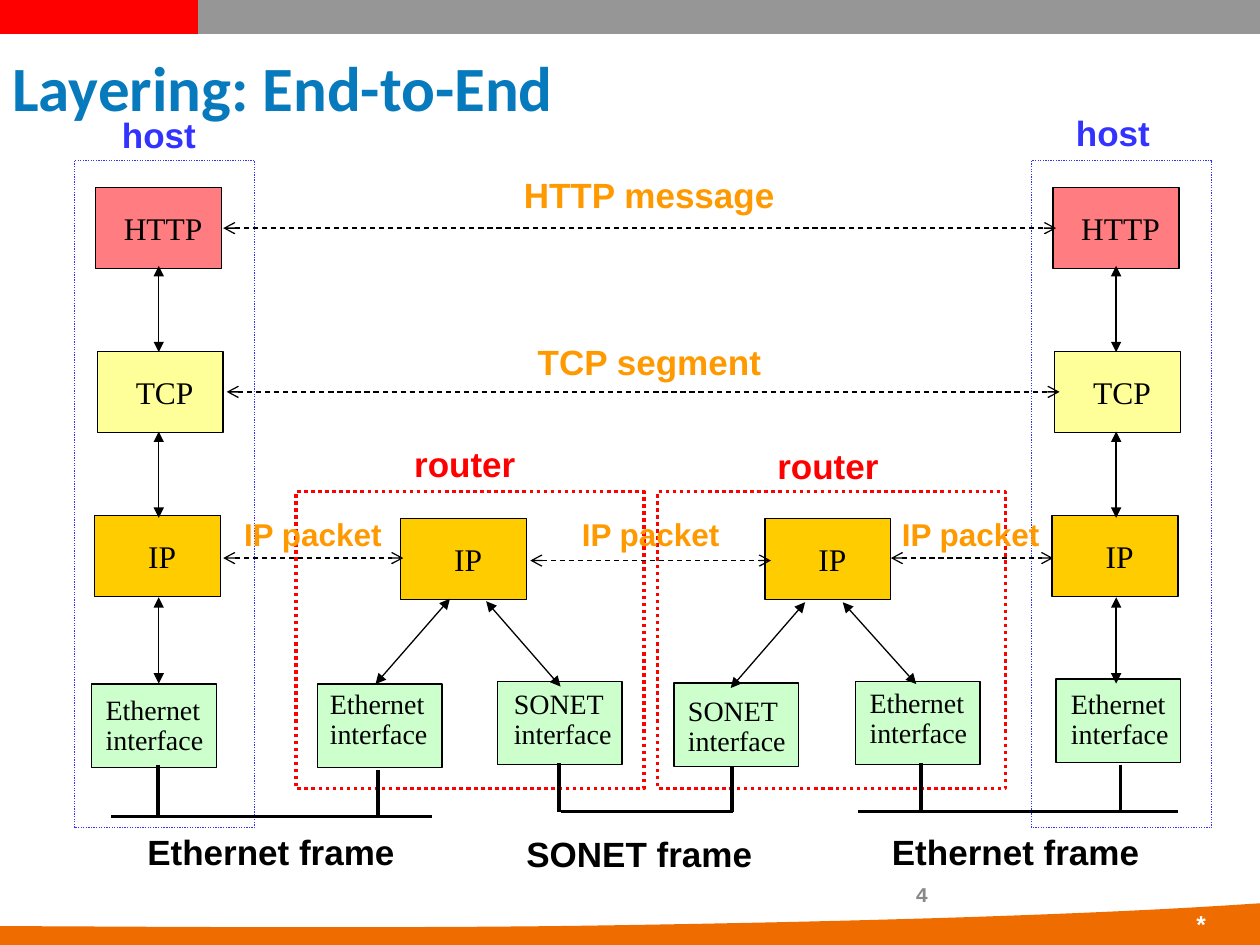
from lxml import etree
from pptx import Presentation
from pptx.dml.color import RGBColor
from pptx.enum.dml import MSO_LINE as Dash
from pptx.enum.shapes import MSO_CONNECTOR, MSO_SHAPE
from pptx.enum.text import MSO_ANCHOR as Anchor, PP_ALIGN as Align
from pptx.oxml.ns import qn
from pptx.util import Cm, Pt

# Content: all positions in centimetres
BLACK, BLUE, RED, ORANGE = "000000", "3333FF", "FF0000", "FF9900"
SERIF, SANS = "Times New Roman", "Arial"
WIDTH, HEIGHT = 25.4, 19.05

HOST_SHIFT = 19.3
HOST_LAYERS = [("HTTP", 1.93, 3.78, "FF7C80"), ("TCP", 1.96, 7.09, "FFFF99"),
               ("IP", 1.91, 10.39, "FFCC00")]
ROUTER_LAYERS = [("IP", 8.08, 10.46, "FFCC00"), ("IP", 15.42, 10.46, "FFCC00")]

# name, left, top, left inset, top inset
INTERFACES = [("Ethernet", 1.85, 13.79, 0.28, 0.25), ("Ethernet", 6.4, 13.79, 0.25, 0.13),
              ("SONET", 10.03, 13.74, 0.33, 0.18), ("SONET", 13.59, 13.77, 0.28, 0.28),
              ("Ethernet", 17.25, 13.74, 0.28, 0.15), ("Ethernet", 21.29, 13.69, 0.3, 0.23)]

# left, top, width, height, colour, line width
FRAMES = [(1.5, 3.23, 3.63, 13.46, BLUE, 0.75),
          (1.5 + HOST_SHIFT, 3.23, 3.63, 13.46, BLUE, 0.75),
          (5.97, 9.91, 7.01, 5.99, RED, 2), (13.26, 9.91, 7.01, 5.99, RED, 2)]

ROUTER_ARROWS = [(9.07, 12.07, 7.57, 13.79), (9.8, 12.12, 11.3, 13.84),
                 (16.23, 12.14, 14.73, 13.87), (16.99, 12.14, 18.47, 13.79)]
# start, end, height on the slide
MESSAGE_ARROWS = [(4.5, 21.29, 4.6), (4.57, 21.36, 7.9), (4.5, 8.13, 11.25),
                  (10.69, 15.54, 11.3), (17.96, 21.23, 11.25)]
# start, end, height on the slide, drops (x, top)
LINKS = [(2.24, 8.71, 16.46, [(3.18, 15.42), (7.62, 15.52)]),
         (11.3, 14.78, 16.36, [(11.27, 15.39), (14.76, 15.44)]),
         (17.3, 23.75, 16.36, [(18.57, 15.39), (22.59, 15.42)])]

# text, size, colour, width, places
LABELS = [("host", 20, BLUE, 2.01, [(2.21, 2.16), (21.44, 2.13)]),
          ("router", 20, RED, 2.59, [(8.1, 8.79), (15.42, 8.84)]),
          ("HTTP message", 20, ORANGE, 5.61, [(10.31, 3.38)]),
          ("TCP segment", 20, ORANGE, 5.05, [(10.59, 6.73)]),
          ("IP packet", 18, ORANGE, 3.33, [(4.67, 10.26), (11.48, 10.26), (17.93, 10.26)]),
          ("Ethernet frame", 20, BLACK, 5.54, [(2.72, 16.61), (17.73, 16.61)]),
          ("SONET frame", 20, BLACK, 5.11, [(10.36, 16.66)])]

WAVE = [[(0, 18.67), (4.47, 18.69), (8.94, 18.72), (13.18, 18.64)],
        [(13.18, 18.64), (17.42, 18.57), (22.1, 18.44), (25.4, 18.21)]]

deck = Presentation()
deck.slide_width, deck.slide_height = Cm(WIDTH), Cm(HEIGHT)
page = deck.slides.add_slide(deck.slide_layouts[6])


def rgb(color):
    return RGBColor.from_string(color)


def style_text(frame, text, size, color, font, bold=False, align=Align.LEFT):
    frame.text = text
    for para in frame.paragraphs:
        para.alignment = align
        for span in para.runs:
            span.font.size, span.font.name, span.font.bold = Pt(size), font, bold
            span.font.color.rgb = rgb(color)


def add_text(text, left, top, width, height, size, color, font=SANS, align=Align.LEFT, wrap=False):
    box = page.shapes.add_textbox(Cm(left), Cm(top), Cm(width), Cm(height))
    frame = box.text_frame
    frame.word_wrap = wrap
    style_text(frame, text, size, color, font, True, align)
    return frame


def add_box(left, top, width, height, fill=None, line=BLACK, weight=0.75):
    box = page.shapes.add_shape(MSO_SHAPE.RECTANGLE, Cm(left), Cm(top), Cm(width), Cm(height))
    box.shadow.inherit = False
    if fill:
        box.fill.solid()
        box.fill.fore_color.rgb = rgb(fill)
    else:
        box.fill.background()
    box.line.color.rgb = rgb(line)
    box.line.width = Pt(weight)
    return box


def add_line(x1, y1, x2, y2, weight=0.75, color=BLACK, arrow=None, dash=None):
    line = page.shapes.add_connector(MSO_CONNECTOR.STRAIGHT, Cm(x1), Cm(y1), Cm(x2), Cm(y2))
    line.line.color.rgb = rgb(color)
    line.line.width = Pt(weight)
    if dash:
        line.line.dash_style = dash
    if arrow:
        for end in ("a:headEnd", "a:tailEnd"):
            etree.SubElement(line.line._get_or_add_ln(), qn(end), type=arrow)
    etree.SubElement(line._element.spPr, qn("a:effectLst"))


def curve_points(a, b, c, d, steps=16):
    for step in range(steps + 1):
        t = step / steps
        weights = ((1 - t) ** 3, 3 * t * (1 - t) ** 2, 3 * t * t * (1 - t), t ** 3)
        yield tuple(Cm(sum(w * p[axis] for w, p in zip(weights, (a, b, c, d))))
                    for axis in (0, 1))


# Page decoration: top bars and bottom wave
add_line(0, 0.33, WIDTH, 0.33, 20, "969696")
add_line(0, 0.33, 3.99, 0.33, 20, RED)
edge = [point for curve in WAVE for point in curve_points(*curve)]
builder = page.shapes.build_freeform(*edge[0])
builder.add_line_segments(edge[1:] + [(Cm(WIDTH), Cm(HEIGHT)), (0, Cm(HEIGHT))], close=True)
wave = builder.convert_to_shape()
wave.shadow.inherit = False
wave.fill.solid()
wave.fill.fore_color.rgb = rgb("EE6C00")
wave.line.fill.background()

# Title and footer
title = add_text("Layering: End-to-End", 0, 0.81, 24.77, 1.88, 36, "067ABD", "Calibri", wrap=True)
title.vertical_anchor = Anchor.MIDDLE
add_text("4", 18.21, 17.65, 5.92, 1.02, 12, "898989", "Courier New", wrap=True)
star = add_text("*", 22.86, 18.21, 1.7, 0.84, 14, "FFFFFF", align=Align.RIGHT, wrap=True)
star.paragraphs[0].space_before = Pt(7)

# Protocol layers in hosts and routers
right_layers = [(name, x + HOST_SHIFT, y, fill) for name, x, y, fill in HOST_LAYERS]
for name, x, y, fill in HOST_LAYERS + right_layers + ROUTER_LAYERS:
    frame = add_box(x, y, 2.54, 1.63, fill).text_frame
    frame.margin_left, frame.margin_right = Cm(0.18), 0
    frame.vertical_anchor = Anchor.MIDDLE
    style_text(frame, name, 18, BLACK, SERIF, align=Align.CENTER)

# Network interfaces
for name, x, y, inset_left, inset_top in INTERFACES:
    frame = add_box(x, y, 2.51, 1.68, "CCFFCC").text_frame
    frame.margin_left, frame.margin_top = Cm(inset_left), Cm(inset_top)
    frame.margin_right = frame.margin_bottom = 0
    frame.vertical_anchor = Anchor.TOP
    style_text(frame, name + "\ninterface", 16, BLACK, SERIF)
    for para in frame.paragraphs:
        para.line_spacing = 0.9

# Arrows between layers
for x in (3.2, 3.2 + HOST_SHIFT):
    for gap in range(3):
        top = 5.36 + 3.34 * gap
        add_line(x, top, x, top + 1.74, arrow="triangle")
for ends in ROUTER_ARROWS:
    add_line(*ends, arrow="triangle")

# Host and router outlines
for left, top, width, height, color, weight in FRAMES:
    add_box(left, top, width, height, line=color, weight=weight).line.dash_style = Dash.ROUND_DOT

# Physical links
for start, end, y, drops in LINKS:
    add_line(start, y, end, y, 2)
    for x, top in drops:
        add_line(x, top, x, y, 2)

# Messages between peers and labels
for start, end, y in MESSAGE_ARROWS:
    add_line(start, y, end, y, arrow="arrow", dash=Dash.DASH)
for text, size, color, width, places in LABELS:
    for left, top in places:
        add_text(text, left, top, width, 1.12 if size == 20 else 1.02, size, color)

deck.save("out.pptx")
